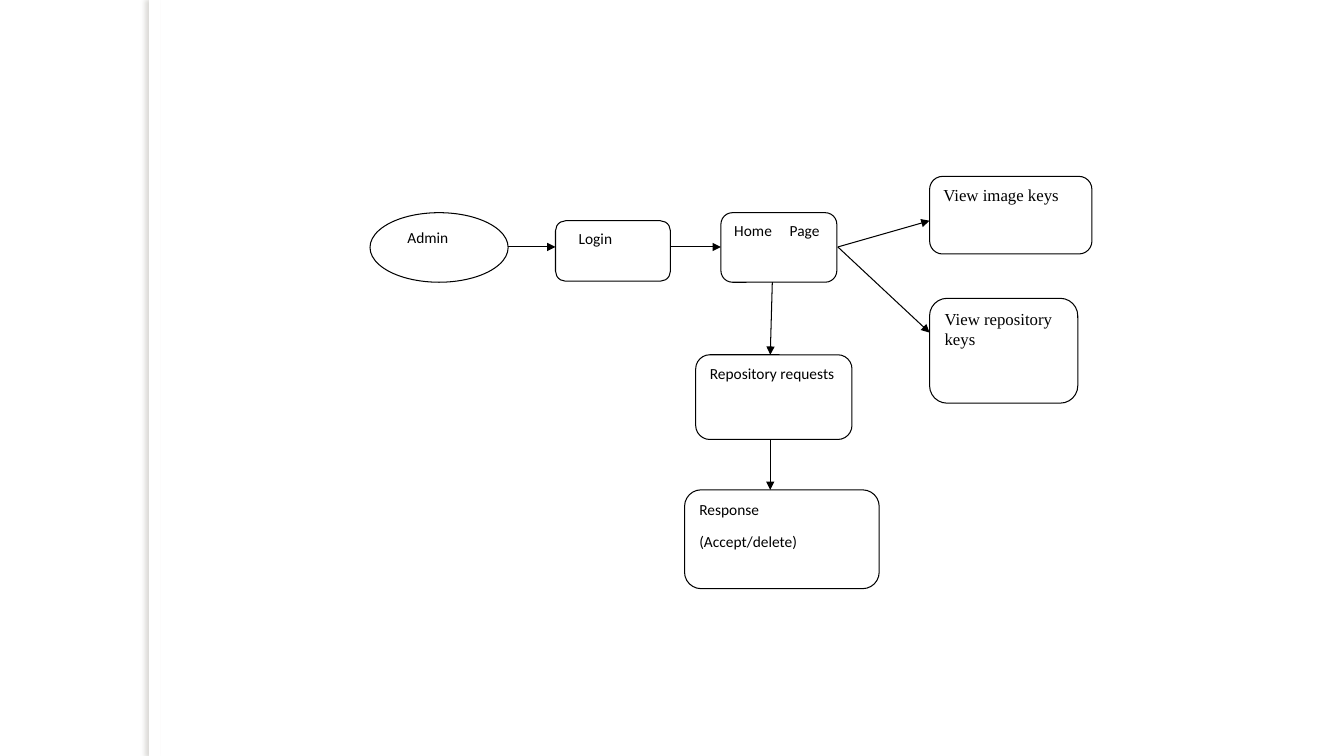
"""Build the admin flow diagram slide."""
from lxml import etree
from pptx import Presentation
from pptx.dml.color import RGBColor
from pptx.enum.shapes import MSO_CONNECTOR, MSO_SHAPE
from pptx.enum.text import MSO_ANCHOR, PP_ALIGN
from pptx.oxml.ns import qn
from pptx.util import Inches, Pt

OVAL, ROUND, RECT = MSO_SHAPE.OVAL, MSO_SHAPE.ROUNDED_RECTANGLE, MSO_SHAPE.RECTANGLE
STRAIGHT = MSO_CONNECTOR.STRAIGHT
TOP, LEFT = MSO_ANCHOR.TOP, PP_ALIGN.LEFT
COLORS = {"paper": "FFFFFF", "ink": "000000", "shadow": "736F63"}
SANS, SERIF = ("Calibri", 11), ("Times New Roman", 12)
FLOW_Y, HOME_RIGHT, KEYS_LEFT, DOWN_X = 2.45, 8.31, 9.22, 7.64

NODES = [
    (OVAL, (3.67, 2.11, 1.37, 0.69), "Admin", SANS, 0.17),
    (ROUND, (5.51, 2.19, 1.14, 0.6), "Login", SANS, 0.2),
    (ROUND, (7.15, 2.11, 1.15, 0.69), "Home\tPage", SANS, 0.1),
    (ROUND, (6.79, 4.86, 1.93, 0.98), "Response\n(Accept/delete)", SANS, 0.1),
    (ROUND, (6.9, 3.52, 1.55, 0.84), "Repository requests", SANS, 0.1),
    (ROUND, (KEYS_LEFT, 1.75, 1.61, 0.77), "View image keys", SERIF, 0.1),
    (ROUND, (KEYS_LEFT, 2.96, 1.47, 1.04), "View repository keys", SERIF, 0.1),
]
ARROWS = [
    (5.04, FLOW_Y, 5.51, FLOW_Y),
    (6.65, FLOW_Y, 7.15, FLOW_Y),
    (HOME_RIGHT, FLOW_Y, KEYS_LEFT, 2.19),
    (HOME_RIGHT, FLOW_Y, KEYS_LEFT, 3.3),
    (7.66, 2.8, DOWN_X, 3.52),
    (DOWN_X, 4.36, DOWN_X, 4.86),
]


def rgb(name):
    """Return a palette colour."""
    return RGBColor.from_string(COLORS[name])


def add_filled(s, kind, box):
    """Add a white shape without the theme shadow."""
    sp = s.shapes.add_shape(kind, *map(Inches, box))
    sp.shadow.inherit = False
    sp.fill.solid()
    sp.fill.fore_color.rgb = rgb("paper")
    return sp


def set_ink_line(shape):
    """Give a shape or connector the thin black line."""
    shape.line.color.rgb = rgb("ink")
    shape.line.width = Pt(0.75)


def add_side_strip(s):
    """Add the white strip that casts a soft shadow to the left."""
    sp = add_filled(s, RECT, (1.48, 0, 0.11, 7.5))
    sp.line.fill.background()
    effects = sp._element.spPr.find(qn("a:effectLst"))
    shadow = etree.SubElement(effects, qn("a:outerShdw"), blurRad=str(Pt(3)),
                              dist=str(Pt(3)), dir="10800000", rotWithShape="0")
    color = etree.SubElement(shadow, qn("a:srgbClr"), val=COLORS["shadow"])
    etree.SubElement(color, qn("a:alpha"), val="25000")


def add_tab_stop(p, pos):
    """Set a left tab stop on a paragraph."""
    tabs = etree.SubElement(p._p.get_or_add_pPr(), qn("a:tabLst"))
    etree.SubElement(tabs, qn("a:tab"), pos=str(Inches(pos)), algn="l")


def add_node(s, kind, box, text, font, margin):
    """Add an outlined node with its label at the top left."""
    sp = add_filled(s, kind, box)
    set_ink_line(sp)
    tf = sp.text_frame
    tf.word_wrap = True
    tf.vertical_anchor = TOP
    tf.margin_left = Inches(margin)
    tf.text = text
    for p in tf.paragraphs:
        p.alignment = LEFT
        p.space_after = Pt(10)
        if "\t" in text:
            add_tab_stop(p, 0.55)
        p.font.name, p.font.size = font[0], Pt(font[1])
        p.font.color.rgb = rgb("ink")


def add_arrow(s, *ends):
    """Add a straight arrow between two points."""
    line = s.shapes.add_connector(STRAIGHT, *map(Inches, ends))
    set_ink_line(line)
    etree.SubElement(line.line._get_or_add_ln(), qn("a:tailEnd"), type="triangle")
    etree.SubElement(line._element.spPr, qn("a:effectLst"))


def main():
    """Build and save the slide."""
    prs = Presentation()
    prs.slide_width, prs.slide_height = Inches(13.33), Inches(7.5)
    s = prs.slides.add_slide(prs.slide_layouts[6])
    add_side_strip(s)
    for node in NODES:
        add_node(s, *node)
    for ends in ARROWS:
        add_arrow(s, *ends)
    prs.save("out.pptx")


if __name__ == "__main__":
    main()
